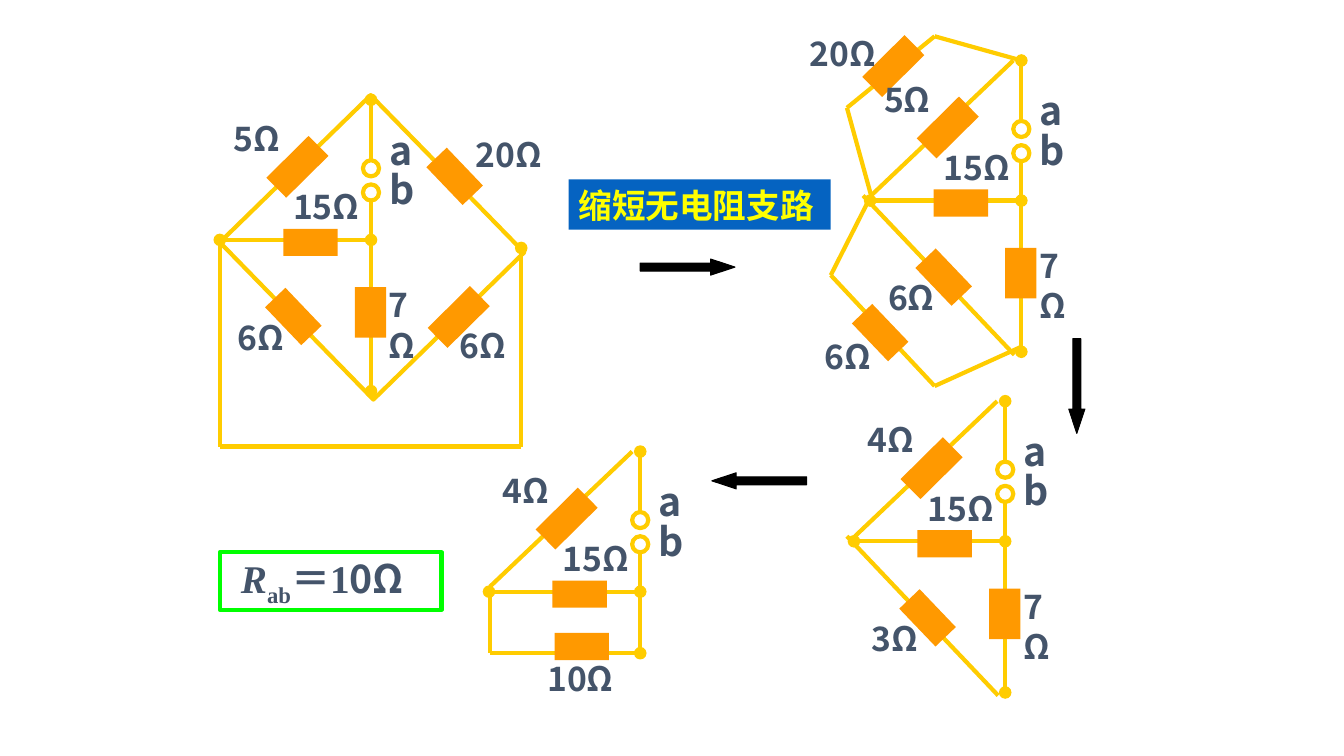
from dataclasses import dataclass

import pptx
import pptx.dml.color
import pptx.enum.shapes
import pptx.enum.text
import pptx.oxml.ns
import pptx.util
from lxml import etree
from pptx.util import Inches


@dataclass(frozen=True)
class Theme:
    wire: str = "FFCC00"
    resistor: str = "FF9900"
    text: str = "44546A"
    arrow: str = "000000"
    frame: str = "00FF00"
    banner: str = "0563C1"
    banner_text: str = "FFFF00"
    label_size: int = 24
    terminal_size: int = 28
    wire_width: float = 3
    sans: str = "Noto Sans CJK SC"
    serif: str = "Times New Roman"
    heading: str = "Arial"


@dataclass(frozen=True)
class Circuit:
    top: tuple
    upper: str
    lower: str = ""
    depth: float = 2.89
    diagonal: bool = True
    wires: tuple = ()
    labels: tuple = ()
    resistors: tuple = ()


THEME = Theme()
SHAPES = pptx.enum.shapes.MSO_SHAPE
RESISTOR_KINDS = {
    "rising": (0.28, 0.59, 45.3),
    "falling": (0.28, 0.52, 316.3),
    "flat": (0.54, 0.27, 0),
    "upright": (0.31, 0.5, 0),
}

DIAMOND = Circuit(
    top=(3.68, 0.99), upper="5Ω", lower="6Ω", diagonal=False,
    wires=(
        ((2.18, 2.38), (2.18, 4.43), ""),
        ((2.18, 4.43), (5.17, 4.43), ""),
        ((5.17, 2.46), (5.17, 4.43), "head"),
    ),
    labels=(("20Ω", 4.62, 1.28, 0.86), ("6Ω", 4.46, 3.17, 0.71)),
    resistors=(("falling", 4.37, 1.49), ("rising", 4.41, 2.85)),
)
PARALLEL = Circuit(
    top=(10.13, 0.6), upper="5Ω", lower="6Ω",
    wires=(
        ((8.24, 2.73), (9.27, 3.83), ""),
        ((8.64, 1.94), (8.24, 2.73), ""),
        ((10.13, 3.44), (9.27, 3.83), ""),
        ((8.4, 1.07), (9.27, 0.36), ""),
        ((8.4, 1.07), (8.64, 1.94), ""),
        ((9.27, 0.36), (10.13, 0.6), ""),
    ),
    labels=(("20Ω", 7.93, 0.28, 0.86), ("6Ω", 8.08, 3.28, 0.71)),
    resistors=(("falling", 8.59, 3.04), ("rising", 8.72, 0.36)),
)
REDUCED = Circuit(top=(9.97, 3.98), upper="4Ω", lower="3Ω")
FINAL = Circuit(
    top=(6.35, 4.48), upper="4Ω", depth=2,
    wires=(((4.86, 5.82), (4.86, 6.48), ""), ((4.86, 6.48), (6.35, 6.48), "")),
    labels=(("10Ω", 5.33, 6.48, 1.1),),
    resistors=(("flat", 5.5, 6.28),),
)
CIRCUITS = (DIAMOND, PARALLEL, REDUCED, FINAL)
ARROWS = ((6.35, 2.57, 0), (10.21, 3.75, 90), (7.06, 4.69, 180))
BANNER = "缩短无电阻支路"
RESULT = (
    ("R", THEME.serif, "italic"),
    ("ab", THEME.serif, "subscript"),
    ("＝1", THEME.serif, ""),
    ("0Ω", THEME.sans, ""),
)


def rgb(color):
    return pptx.dml.color.RGBColor.from_string(color)


def add_box(shapes, kind, left, top, width, height, fill="", line="", line_width=3.0, rotation=0):
    shape = shapes.add_shape(kind, Inches(left), Inches(top), Inches(width), Inches(height))
    shape.shadow.inherit = False
    shape.rotation = rotation
    if fill:
        shape.fill.solid()
        shape.fill.fore_color.rgb = rgb(fill)
    else:
        shape.fill.background()
    if line:
        shape.line.color.rgb = rgb(line)
        shape.line.width = pptx.util.Pt(line_width)
    else:
        shape.line.fill.background()
    return shape


def add_run(paragraph, text, size, font, color, style=""):
    run = paragraph.add_run()
    run.text = text
    run.font.size = pptx.util.Pt(size)
    run.font.bold = True
    run.font.italic = style == "italic"
    run.font.name = font
    run.font.color.rgb = rgb(color)
    properties = run.font._element
    etree.SubElement(properties, pptx.oxml.ns.qn("a:ea"), typeface=THEME.sans)
    if style == "subscript":
        properties.set("baseline", "-25000")


def left_paragraph(shape):
    frame = shape.text_frame
    frame.word_wrap = True
    frame.vertical_anchor = pptx.enum.text.MSO_ANCHOR.MIDDLE
    paragraph = frame.paragraphs[0]
    paragraph.alignment = pptx.enum.text.PP_ALIGN.LEFT
    return paragraph


def add_label(shapes, text, left, top, width, size=THEME.label_size):
    height = 0.1 + size / 60
    box = shapes.add_textbox(Inches(left), Inches(top), Inches(width), Inches(height))
    box.text_frame.word_wrap = True
    box.text_frame.auto_size = pptx.enum.text.MSO_AUTO_SIZE.SHAPE_TO_FIT_TEXT
    add_run(box.text_frame.paragraphs[0], text, size, THEME.sans, THEME.text)


def add_wire(shapes, start, end, dots=""):
    wire = shapes.add_connector(
        pptx.enum.shapes.MSO_CONNECTOR.STRAIGHT, *(Inches(value) for value in (*start, *end)))
    wire.line.color.rgb = rgb(THEME.wire)
    wire.line.width = pptx.util.Pt(THEME.wire_width)
    line = wire.line._get_or_add_ln()
    for side in dots.split():
        etree.SubElement(line, pptx.oxml.ns.qn(f"a:{side}End"), type="oval")
    etree.SubElement(wire._element.spPr, pptx.oxml.ns.qn("a:effectLst"))


def add_resistor(shapes, kind, left, top):
    width, height, rotation = RESISTOR_KINDS[kind]
    add_box(shapes, SHAPES.RECTANGLE, left, top, width, height, THEME.resistor, rotation=rotation)


def add_circuit(slide, circuit):
    shapes = slide.shapes.add_group_shape().shapes

    def at(x, y):
        return circuit.top[0] + x, circuit.top[1] + y

    wires = [
        (at(0, 0), at(0, 0.6), "head"),
        (at(0, 1), at(0, circuit.depth), "tail"),
        (at(-1.5, 1.39), at(0, 1.39), "head tail"),
    ]
    labels = [("15Ω", *at(-0.87, 0.81), 0.94), (circuit.upper, *at(-1.46, 0.13), 0.67)]
    resistors = [("rising", *at(-0.87, 0.37)), ("flat", *at(-0.87, 1.28))]
    if circuit.diagonal:
        wires.append((at(-1.49, 1.34), at(-0.08, 0), ""))
        if circuit.lower:
            wires.append((at(-1.57, 1.34), at(-0.07, 2.92), ""))
    else:
        add_box(shapes, SHAPES.RECTANGLE, *at(-1.08, 0.42), 2.18, 2.09,
                line=THEME.wire, rotation=45.7)
    if circuit.lower:
        labels += [(circuit.lower, *at(-1.42, 2.1), 0.79), ("7Ω", *at(0.08, 1.78), 0.63)]
        resistors += [("falling", *at(-0.91, 1.89)), ("upright", *at(-0.16, 1.86))]

    for start, end, dots in (*wires, *circuit.wires):
        add_wire(shapes, start, end, dots)
    for y in (0.6, 0.84):
        add_box(shapes, SHAPES.OVAL, *at(-0.08, y), 0.16, 0.16, line=THEME.wire)
    for resistor in (*resistors, *circuit.resistors):
        add_resistor(shapes, *resistor)
    for label in (*labels, *circuit.labels):
        add_label(shapes, *label)
    for name, y in (("a", 0.21), ("b", 0.6)):
        add_label(shapes, name, *at(0.08, y), 0.39, THEME.terminal_size)


def main():
    presentation = pptx.Presentation()
    presentation.slide_width = Inches(13.33)
    presentation.slide_height = Inches(7.5)
    slide = presentation.slides.add_slide(presentation.slide_layouts[6])

    for circuit in CIRCUITS:
        add_circuit(slide, circuit)
    for left, top, rotation in ARROWS:
        arrow = add_box(slide.shapes, SHAPES.RIGHT_ARROW, left, top, 0.94, 0.16,
                        THEME.arrow, THEME.arrow, 0.75, rotation)
        arrow.adjustments[1] = 1.51

    result = add_box(slide.shapes, SHAPES.RECTANGLE, 2.18, 5.48, 2.2, 0.57, line=THEME.frame)
    paragraph = left_paragraph(result)
    result.text_frame.margin_left = Inches(0.21)
    for text, font, style in RESULT:
        add_run(paragraph, text, THEME.terminal_size, font, THEME.text, style)

    banner = add_box(slide.shapes, SHAPES.RECTANGLE, 5.64, 1.78, 2.6, 0.5, THEME.banner)
    add_run(left_paragraph(banner), BANNER, THEME.label_size, THEME.heading, THEME.banner_text)
    presentation.save("out.pptx")


if __name__ == "__main__":
    main()
